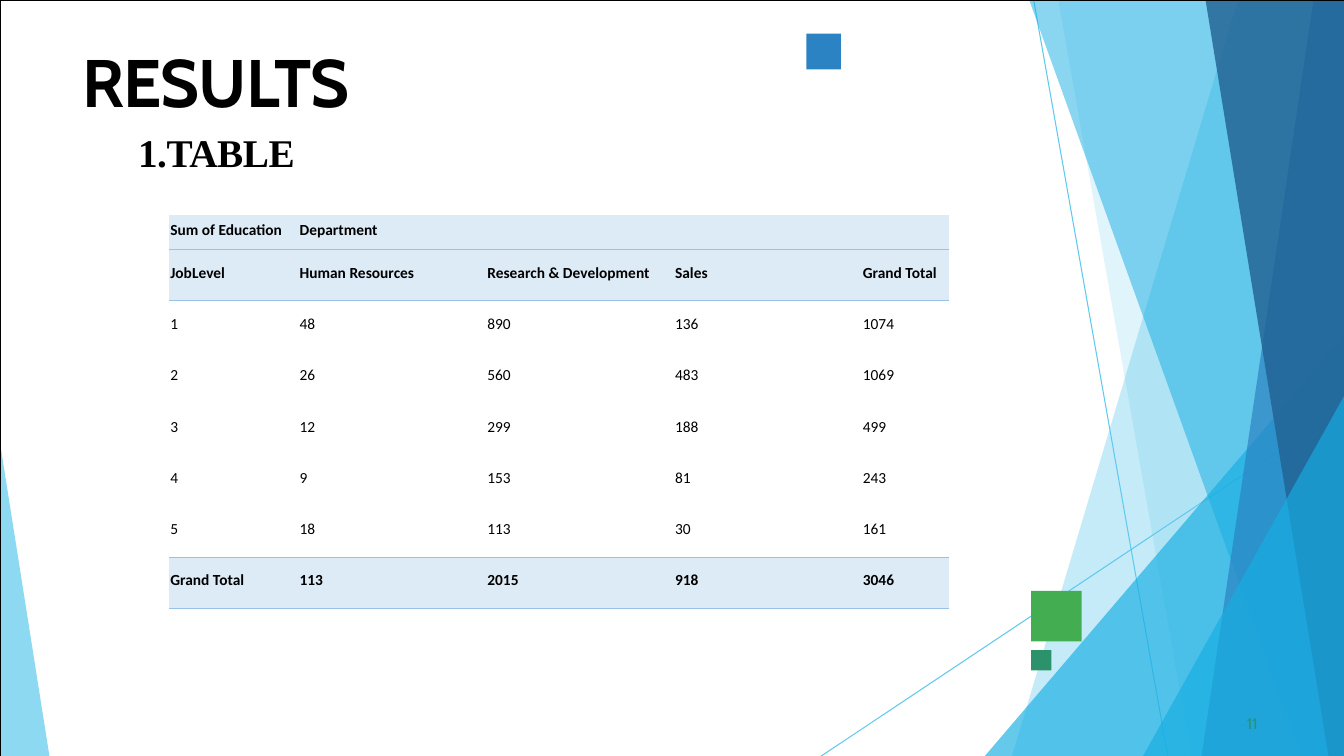
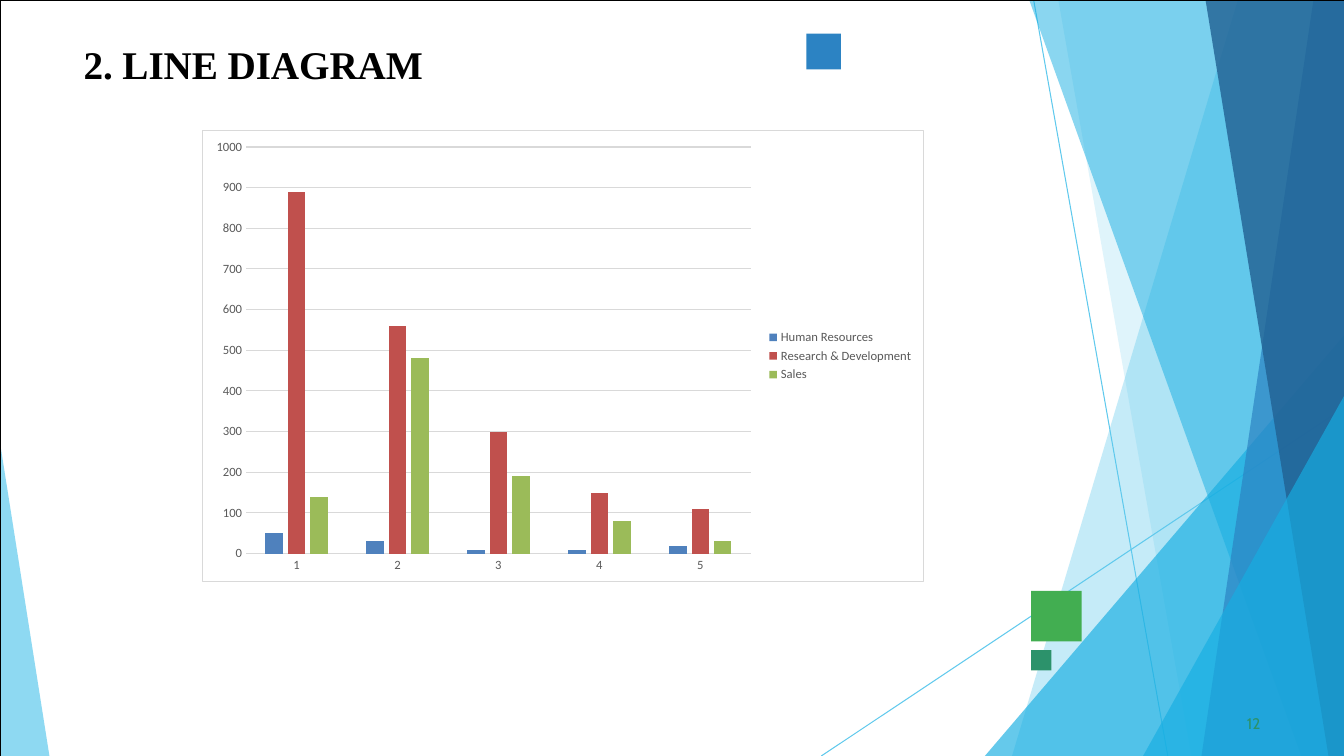
from lxml import etree
from pptx import Presentation
from pptx.chart.data import CategoryChartData
from pptx.dml.color import RGBColor
from pptx.enum.chart import XL_CHART_TYPE, XL_LEGEND_POSITION, XL_TICK_MARK
from pptx.enum.shapes import MSO_CONNECTOR, MSO_SHAPE
from pptx.enum.text import MSO_ANCHOR, MSO_AUTO_SIZE, PP_ALIGN
from pptx.oxml import parse_xml
from pptx.oxml.ns import nsdecls, qn
from pptx.util import Inches, Pt

RECTANGLE = MSO_SHAPE.RECTANGLE
STRAIGHT = MSO_CONNECTOR.STRAIGHT
LEFT, CENTER = PP_ALIGN.LEFT, PP_ALIGN.CENTER
TOP, MIDDLE = MSO_ANCHOR.TOP, MSO_ANCHOR.MIDDLE
FIXED_SIZE = MSO_AUTO_SIZE.NONE
COLUMNS = XL_CHART_TYPE.COLUMN_CLUSTERED
LEGEND_RIGHT = XL_LEGEND_POSITION.RIGHT
NO_TICK = XL_TICK_MARK.NONE

COLORS = {
    "black": "000000", "sky": "5FC9ED", "cyan": "16AEE2", "blue": "2C83C3",
    "navy": "216092", "green": "42AE51", "teal": "2C926B",
    "table band": "DDEBF7", "table rule": "9BC2E6",
    "chart text": "595959", "chart line": "D9D9D9", "chart fill": "FFFFFF",
    "Human Resources": "4F81BD", "Research & Development": "C0504D", "Sales": "9BBB59",
}
RGB = {name: RGBColor.from_string(code) for name, code in COLORS.items()}

deck = Presentation()
deck.slide_width, deck.slide_height = Inches(13.333), Inches(7.5)


def spot(across, down):
    """Turn percentages of the slide's width and height into lengths."""
    return round(deck.slide_width * across / 100), round(deck.slide_height * down / 100)


def write(frame, text, size, font, color="black", bold=False, before=0, align=LEFT, spacing=0):
    """Add a paragraph; spacing between letters and before it is in points."""
    para = frame.add_paragraph() if frame.text else frame.paragraphs[0]
    para.alignment = align
    para.space_before = Pt(before)
    span = para.add_run()
    span.text = text
    span.font.size, span.font.name, span.font.bold = Pt(size), font, bold
    span.font.color.rgb = RGB[color]
    if spacing:
        span._r.get_or_add_rPr().set("spc", str(round(spacing * 100)))


# Shared layout: facets, lines, squares and frame
layout = deck.slide_layouts[5]
pages = [deck.slides.add_slide(layout) for _ in range(2)]
canvas = pages[0].shapes
decoration = []

for start, end in [((76.91, 0), (86.89, 100)), ((61.11, 100), (100, 53.93))]:
    line = canvas.add_connector(STRAIGHT, *spot(*start), *spot(*end))
    line.line.color.rgb = RGB["sky"]
    line.line.width = Pt(0.75)
    etree.SubElement(line.element.spPr, qn("a:effectLst"))
    decoration.append(line)

top_right, bottom_right = (100, 0), (100, 100)
facets = [
    ("sky", 36, [bottom_right, (75.3, 100), (92.1, 0), top_right]),
    ("sky", 20, [bottom_right, (88.65, 100), (78.75, 0), top_right]),
    ("cyan", 66, [bottom_right, (73.28, 100), (100, 44.4)]),
    ("cyan", 50, [bottom_right, (96.83, 100), (76.58, 0), top_right]),
    ("blue", 70, [bottom_right, (89.4, 100), (97.73, 0), top_right]),
    ("navy", 80, [bottom_right, (98.85, 100), (89.7, 0), top_right]),
    ("cyan", 66, [bottom_right, (85.05, 100), (100, 52.4)]),
    ("sky", 70, [(3.68, 100), (0, 100), (0, 58.53)]),
]
for color, opacity, corners in facets:
    points = [spot(*corner) for corner in corners]
    outline = canvas.build_freeform(*points[0])
    outline.add_line_segments(points[1:])
    facet = outline.convert_to_shape()
    facet.shadow.inherit = False
    facet.fill.solid()
    facet.fill.fore_color.rgb = RGB[color]
    alpha = etree.SubElement(facet.element.xpath(".//a:srgbClr")[0], qn("a:alpha"))
    alpha.set("val", str(opacity * 1000))
    facet.line.fill.background()
    decoration.append(facet)

squares = [
    ("green", (76.73, 78.17), (3.75, 6.67)),
    ("blue", (60, 4.45), (2.58, 4.73)),
    ("teal", (76.73, 86), (1.5, 2.67)),
]
for color, corner, extent in squares:
    square = canvas.add_shape(RECTANGLE, *spot(*corner), *spot(*extent))
    square.shadow.inherit = False
    square.fill.solid()
    square.fill.fore_color.rgb = RGB[color]
    square.line.fill.background()
    decoration.append(square)

border = canvas.add_shape(RECTANGLE, *spot(0, 0), *spot(100, 100))
border.shadow.inherit = False
border.fill.background()
border.line.color.rgb = RGB["black"]
border.line.width = Pt(0.25)
decoration.append(border)

for number, shape in enumerate(decoration, start=100):
    shape.element.xpath(".//p:cNvPr")[0].set("id", str(number))
    layout.shapes.element.append(shape.element)

# Titles and page numbers
titles = [
    ((6.12, 3.65), (19.95, 19.73), 0.13, [
        ("RESULTS", dict(size=48, font="Cabin", before=9.5, align=CENTER, spacing=-0.7)),
        ("1.TABLE", dict(size=28, font="Times New Roman", before=4.9, align=CENTER,
                         spacing=-0.3)),
    ]),
    ((6.22, 5.2), (27, 6.53), 0.01, [
        ("2. LINE DIAGRAM", dict(size=28, font="Times New Roman", before=0.9, spacing=-0.05)),
    ]),
]
for number, (page, (corner, extent, inset, lines)) in enumerate(zip(pages, titles), start=11):
    title = page.shapes.title
    title.left, title.top = spot(*corner)
    title.width, title.height = spot(*extent)
    footer = page.shapes.add_textbox(*spot(92.78, 94.4), *spot(2, 2.8))
    for box, top_inset in ((title, inset), (footer, 0)):
        frame = box.text_frame
        frame.word_wrap = True
        frame.auto_size = FIXED_SIZE
        frame.vertical_anchor = TOP
        frame.margin_left = frame.margin_right = frame.margin_bottom = 0
        frame.margin_top = Inches(top_inset)
    for text, style in lines:
        write(title.text_frame, text, bold=True, **style)
    write(footer.text_frame, str(number), size=11, font="Cabin", color="teal", before=0.3)

# Results table
header = ["JobLevel", "Human Resources", "Research & Development", "Sales", "Grand Total"]
levels = [
    [1, 48, 890, 136, 1074],
    [2, 26, 560, 483, 1069],
    [3, 12, 299, 188, 499],
    [4, 9, 153, 81, 243],
    [5, 18, 113, 30, 161],
]
rows = [["Sum of Education", "Department"], header, *levels,
        ["Grand Total", 113, 2015, 918, 3046]]
column_shares = [9.62, 13.97, 13.97, 13.97, 6.45, 4.95]
row_shares = [4.6] + [6.78] * 7
banded_rows = {0, 1, 7}
ruled_rows = {0, 1, 6, 7}

table = pages[0].shapes.add_table(
    len(rows), len(column_shares), *spot(12.6, 28.4),
    *spot(sum(column_shares), sum(row_shares))).table
table.first_row = table.horz_banding = False
for column, share in zip(table.columns, column_shares):
    column.width = spot(share, 0)[0]
for row_index, share in enumerate(row_shares):
    table.rows[row_index].height = spot(0, share)[1]
    for column_index in range(len(column_shares)):
        cell = table.cell(row_index, column_index)
        values = rows[row_index]
        inside = column_index < len(header)
        banded = row_index in banded_rows
        cell.vertical_anchor = MIDDLE
        cell.margin_left = cell.margin_right = cell.margin_top = Inches(0.01)
        cell.margin_bottom = Inches(0.05)
        text = str(values[column_index]) if column_index < len(values) else ""
        write(cell.text_frame, text, size=11, font="Calibri", bold=banded)
        ruled = {"lnT": inside and row_index - 1 in ruled_rows,
                 "lnB": inside and row_index in ruled_rows}
        for side in ("lnL", "lnR", "lnT", "lnB"):
            edge = etree.SubElement(cell._tc.get_or_add_tcPr(), qn(f"a:{side}"), w=str(Pt(0.5)))
            if ruled.get(side):
                paint = etree.SubElement(edge, qn("a:solidFill"))
                etree.SubElement(paint, qn("a:srgbClr"), val=COLORS["table rule"])
            else:
                etree.SubElement(edge, qn("a:noFill"))
        if banded and inside:
            cell.fill.solid()
            cell.fill.fore_color.rgb = RGB["table band"]
        else:
            cell.fill.background()

# Chart of the departments by job level, rounded to tens
departments = header[1:4]
data = CategoryChartData()
data.categories = [str(level[0]) for level in levels]
for position, department in enumerate(departments, start=1):
    data.add_series(department, [round(level[position], -1) for level in levels])
chart = pages[1].shapes.add_chart(COLUMNS, *spot(15, 17.22), *spot(53.75, 59.75), data).chart
chart.has_title = False
chart.has_legend = True
chart.legend.position = LEGEND_RIGHT
chart.legend.include_in_layout = False
chart.font.size, chart.font.name = Pt(10), "Calibri"

plot = chart.plots[0]
plot.gap_width, plot.overlap, plot.vary_by_categories = 219, -27, False
for series in plot.series:
    series.format.fill.solid()
    series.format.fill.fore_color.rgb = RGB[series.name]

categories, scale = chart.category_axis, chart.value_axis
for part in (categories.tick_labels, scale.tick_labels, chart.legend):
    part.font.size, part.font.name = Pt(9), "Calibri"
    part.font.color.rgb = RGB["chart text"]
for axis in (categories, scale):
    axis.major_tick_mark = axis.minor_tick_mark = NO_TICK
scale.minimum_scale, scale.maximum_scale, scale.major_unit = 0, 1000, 100
scale.has_major_gridlines = True
scale.format.line.fill.background()
for rule in (categories.format.line, scale.major_gridlines.format.line):
    rule.color.rgb = RGB["chart line"]
    rule.width = Pt(0.75)

chart_frame = parse_xml(
    f'<c:spPr {nsdecls("c", "a")}>'
    f'<a:solidFill><a:srgbClr val="{COLORS["chart fill"]}"/></a:solidFill>'
    f'<a:ln w="{Pt(0.75)}"><a:solidFill><a:srgbClr val="{COLORS["chart line"]}"/></a:solidFill>'
    '</a:ln></c:spPr>')
chart.element.xpath("c:txPr")[0].addprevious(chart_frame)

deck.save("out.pptx")
